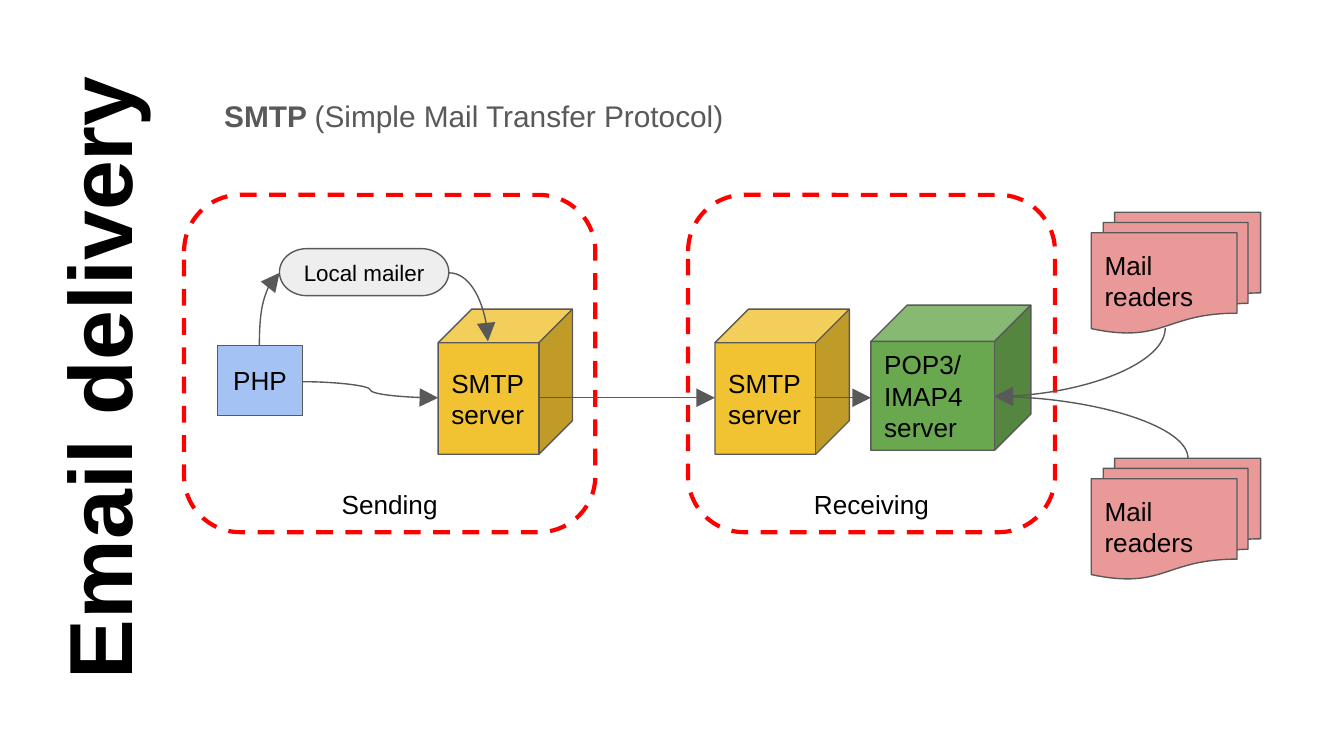
from lxml.etree import SubElement
from pptx import Presentation
from pptx.dml.color import RGBColor
from pptx.enum.dml import MSO_LINE
from pptx.enum.shapes import MSO_CONNECTOR, MSO_SHAPE
from pptx.enum.text import MSO_ANCHOR, PP_ALIGN
from pptx.oxml.ns import qn
from pptx.util import Inches, Pt

BLACK = RGBColor(0x00, 0x00, 0x00)
GRAY = RGBColor(0x59, 0x59, 0x59)
PALE_GRAY = RGBColor(0xEE, 0xEE, 0xEE)
RED = RGBColor(0xFF, 0x00, 0x00)
BLUE = RGBColor(0xA4, 0xC2, 0xF4)
YELLOW = RGBColor(0xF1, 0xC2, 0x32)
GREEN = RGBColor(0x6A, 0xA8, 0x4F)
PINK = RGBColor(0xEA, 0x99, 0x99)


def add_run(paragraph, text, size, color=BLACK, bold=False):
    """Append one formatted run."""
    run = paragraph.add_run()
    run.text = text
    run.font.name = "Arial"
    run.font.size = Pt(size)
    run.font.bold = bold
    run.font.color.rgb = color


def set_up_frame(shape, anchor, align, right=0.1, bottom=0.1):
    """Set wrapping, insets and anchor; return the first paragraph."""
    frame = shape.text_frame
    frame.word_wrap = True
    frame.vertical_anchor = anchor
    frame.margin_left = frame.margin_top = Inches(0.1)
    frame.margin_right = Inches(right)
    frame.margin_bottom = Inches(bottom)
    paragraph = frame.paragraphs[0]
    paragraph.alignment = align
    return paragraph


def add_title(slide, left, top, width, height):
    """Add the title that reads upwards along the left edge."""
    title = slide.shapes.add_textbox(*map(Inches, (left, top, width, height)))
    title.rotation = 270
    paragraph = set_up_frame(title, MSO_ANCHOR.BOTTOM, PP_ALIGN.CENTER)
    add_run(paragraph, "Email delivery", 48, bold=True)


def add_subtitle(slide, left, top, width, height):
    """Add the line that spells out the protocol name."""
    subtitle = slide.shapes.add_textbox(*map(Inches, (left, top, width, height)))
    paragraph = set_up_frame(subtitle, MSO_ANCHOR.TOP, PP_ALIGN.LEFT)
    paragraph.line_spacing = 1.15
    paragraph.space_after = Pt(16)
    add_run(paragraph, "SMTP ", 16, GRAY, bold=True)
    add_run(paragraph, "(Simple Mail Transfer Protocol)", 16, GRAY)


def add_zone(slide, label, left, top, width, height):
    """Add a dashed zone with its label at the bottom."""
    zone = slide.shapes.add_shape(MSO_SHAPE.ROUNDED_RECTANGLE,
                                  *map(Inches, (left, top, width, height)))
    zone.shadow.inherit = False
    zone.fill.background()
    zone.line.color.rgb = RED
    zone.line.width = Pt(2.25)
    zone.line.dash_style = MSO_LINE.DASH
    paragraph = set_up_frame(zone, MSO_ANCHOR.BOTTOM, PP_ALIGN.CENTER, bottom=-0.03)
    add_run(paragraph, label, 14)


def add_node(slide, kind, lines, fill, left, top, width, height,
             size=14, align=PP_ALIGN.LEFT):
    """Add one outlined station of the mail route."""
    node = slide.shapes.add_shape(kind, *map(Inches, (left, top, width, height)))
    node.shadow.inherit = False
    node.fill.solid()
    node.fill.fore_color.rgb = fill
    node.line.color.rgb = GRAY
    node.line.width = Pt(0.75)
    right = 0.05 if align == PP_ALIGN.LEFT else 0.1
    paragraph = set_up_frame(node, MSO_ANCHOR.MIDDLE, align, right)
    for index, line in enumerate(lines):
        if index:
            paragraph.add_line_break()
        add_run(paragraph, line, size)


def add_arrow(slide, start, end, bend=None):
    """Add a curved arrow: an S curve, or a quarter turn with the given bend."""
    (x1, y1), (x2, y2) = start, end
    rotation = 0
    if bend == "vertical":
        # A turn that starts vertically is a horizontal one, rotated about its centre.
        rotation = 270 if x2 > x1 else 90
        center_x, center_y = (x1 + x2) / 2, (y1 + y2) / 2
        half_run = (y2 - y1) / 2 * (1 if rotation == 90 else -1)
        half_rise = abs(x2 - x1) / 2
        x1, x2 = center_x - half_run, center_x + half_run
        y1, y2 = center_y - half_rise, center_y + half_rise
    arrow = slide.shapes.add_connector(MSO_CONNECTOR.CURVE,
                                       *map(Inches, (x1, y1, x2, y2)))
    arrow.line.color.rgb = GRAY
    arrow.line.width = Pt(0.75)
    shape_properties = arrow._element.spPr
    SubElement(shape_properties.find(qn("a:ln")), qn("a:tailEnd"),
               type="triangle", w="lg", len="lg")
    SubElement(shape_properties, qn("a:effectLst"))
    if bend:
        shape_properties.find(qn("a:prstGeom")).set("prst", "curvedConnector2")
    if rotation:
        shape_properties.find(qn("a:xfrm")).set("rot", str(rotation * 60000))


def add_sending(slide, left, top):
    """Add the stations and arrows of the sending side."""
    center = PP_ALIGN.CENTER
    add_node(slide, MSO_SHAPE.RECTANGLE, ["PHP"], BLUE,
             left + 0.25, top + 1.12, 0.63, 0.52, align=center)
    add_node(slide, MSO_SHAPE.FLOWCHART_TERMINATOR, ["Local mailer"], PALE_GRAY,
             left + 0.71, top + 0.4, 1.26, 0.35, size=12, align=center)
    add_smtp_server(slide, left + 1.89, top + 0.85)
    mailer_y = top + 0.58
    add_arrow(slide, (left + 0.56, top + 1.12), (left + 0.71, mailer_y), "vertical")
    add_arrow(slide, (left + 1.97, mailer_y), (left + 2.26, top + 1.09), "horizontal")
    add_arrow(slide, (left + 0.88, top + 1.39), (left + 1.89, top + 1.51))


def add_smtp_server(slide, left, top):
    """Add one SMTP server cube."""
    add_node(slide, MSO_SHAPE.CUBE, ["SMTP", "server"], YELLOW, left, top, 1, 1.08)


def add_receiving(slide, left, top):
    """Add the two servers of the receiving side and the arrows into them."""
    add_smtp_server(slide, left + 0.2, top + 0.85)
    add_node(slide, MSO_SHAPE.CUBE, ["POP3/", "IMAP4", "server"], GREEN,
             left + 1.36, top + 0.82, 1.19, 1.08)
    route_y = top + 1.51
    add_arrow(slide, (left - 1.11, route_y), (left + 0.2, route_y))
    add_arrow(slide, (left + 0.94, route_y), (left + 1.36, route_y))


def add_readers(slide, left, top, arrow_start, mailbox):
    """Add a stack of mail readers and its arrow to the mailbox server."""
    add_node(slide, MSO_SHAPE.FLOWCHART_MULTIDOCUMENT, ["Mail", "readers"], PINK,
             left, top, 1.26, 0.9)
    start_x, start_y = arrow_start
    add_arrow(slide, (left + start_x, top + start_y), mailbox, "vertical")


def build():
    """Build and save the slide."""
    presentation = Presentation()
    presentation.slide_width = Inches(10)
    presentation.slide_height = Inches(10 * 9 / 16)
    slide = presentation.slides.add_slide(presentation.slide_layouts[6])
    zone_top = 1.45
    sending_left, receiving_left = 1.37, 5.12
    add_zone(slide, "Receiving", receiving_left, zone_top, 2.73, 2.51)
    add_zone(slide, "Sending", sending_left, zone_top, 3.06, 2.51)
    add_title(slide, -1.66, 2.39, 4.92, 0.84)
    add_subtitle(slide, 1.57, 0.59, 4.01, 0.43)
    add_sending(slide, sending_left, zone_top)
    add_receiving(slide, receiving_left, zone_top)
    mailbox = (7.4, 2.95)
    add_readers(slide, 8.12, 3.41, (0.72, 0), mailbox)
    add_readers(slide, 8.12, 1.58, (0.55, 0.86), mailbox)
    presentation.save("out.pptx")


build()
